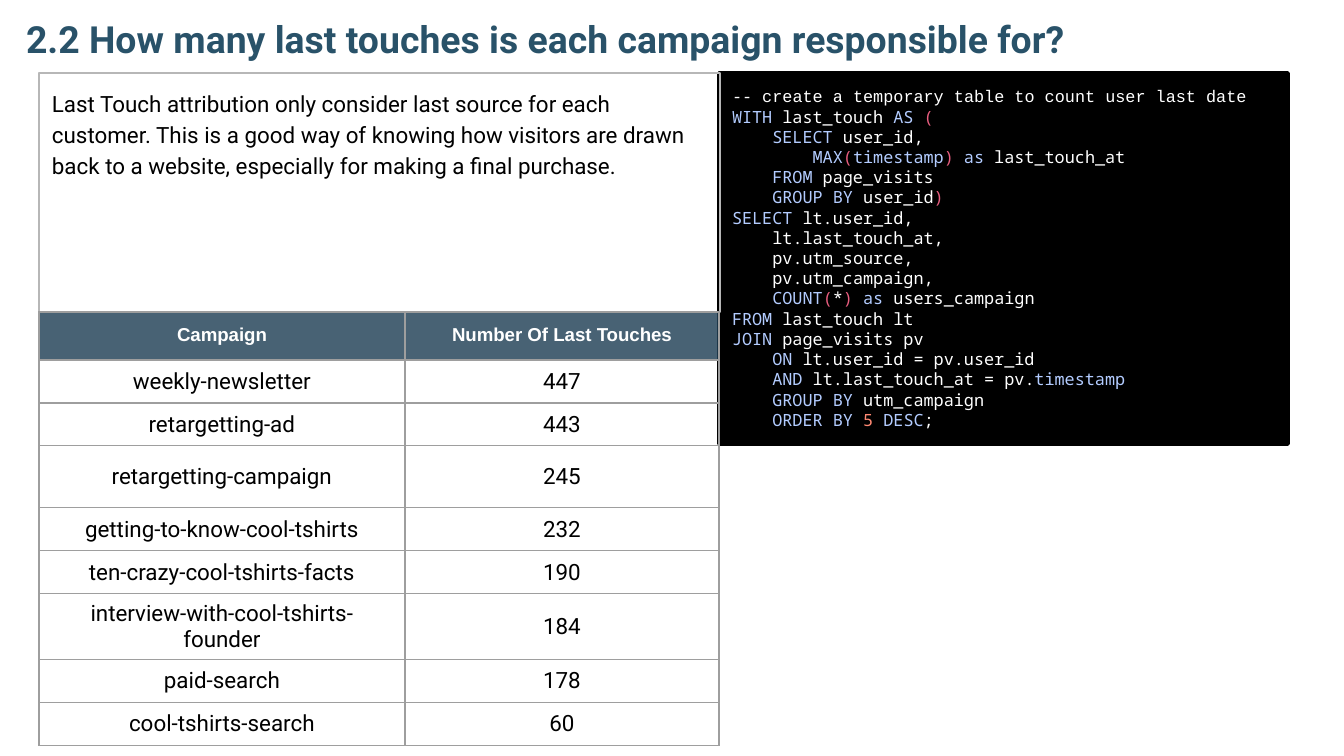
from itertools import groupby

from lxml.etree import SubElement
from pptx import Presentation
from pptx.dml.color import RGBColor
from pptx.enum.shapes import MSO_SHAPE
from pptx.enum.text import MSO_ANCHOR as Anchor, MSO_AUTO_SIZE as AutoSize, PP_ALIGN as Align
from pptx.oxml.ns import qn
from pptx.util import Emu, Pt

EMU_PER_PX = 914400 / 134.4
INSET = 13
COLORS = {
    "title": "295269", "text": "000000", "white": "FFFFFF", "code_box": "000000",
    "keyword": "B3CCFF", "bracket": "E85D7F", "number": "FF8973",
    "header": "204056", "grid": "9E9E9E", "frame": "B7B7B7",
}
KEYWORDS = set("WITH AS SELECT MAX timestamp as FROM GROUP BY COUNT JOIN ON AND ORDER DESC".split())
QUERY = """\
-- create a temporary table to count user last date
WITH last_touch AS (
    SELECT user_id,
        MAX(timestamp) as last_touch_at
    FROM page_visits
    GROUP BY user_id)
SELECT lt.user_id,
    lt.last_touch_at,
    pv.utm_source,
    pv.utm_campaign,
    COUNT(*) as users_campaign
FROM last_touch lt
JOIN page_visits pv
    ON lt.user_id = pv.user_id
    AND lt.last_touch_at = pv.timestamp
    GROUP BY utm_campaign
    ORDER BY 5 DESC;"""
EXPLANATION = (
    "Last Touch attribution only consider last source for each customer. "
    "This is a good way of knowing how visitors are drawn back to a website, "
    "especially for making a final purchase."
)
CAMPAIGNS = [
    ("Campaign", "Number Of Last Touches"),
    ("weekly-newsletter", 447),
    ("retargetting-ad", 443),
    ("retargetting-campaign", 245),
    ("getting-to-know-cool-tshirts", 232),
    ("ten-crazy-cool-tshirts-facts", 190),
    ("interview-with-cool-tshirts-founder", 184),
    ("paid-search", 178),
    ("cool-tshirts-search", 60),
]
COLUMN_WIDTHS = (366, 314)
ROW_HEIGHTS = (48, 43, 43, 62, 43, 43, 43, 43, 43)


def px(length):
    return Emu(round(length * EMU_PER_PX))


def color(name):
    return RGBColor.from_string(COLORS[name])


def add_run(paragraph, text, size, font_name, color_name, bold=False):
    run = paragraph.add_run()
    run.text = text
    run.font.size = Pt(size)
    run.font.name = font_name
    run.font.bold = bold
    run.font.color.rgb = color(color_name)


def set_insets(target):
    """Give a text frame or a table cell the same inset on all sides."""
    target.margin_left = target.margin_right = px(INSET)
    target.margin_top = target.margin_bottom = px(INSET)


def add_title(slide, text):
    title = slide.shapes.title
    title.left, title.top, title.width, title.height = map(px, (13, -50, 1253, 124))
    frame = title.text_frame
    frame.auto_size = AutoSize.NONE
    frame.vertical_anchor = Anchor.BOTTOM
    set_insets(frame)
    paragraph = frame.paragraphs[0]
    paragraph.alignment = Align.LEFT
    add_run(paragraph, text, 20, "Roboto", "title", True)


def add_box(slide, bounds, line_color, line_width, fill_color=None):
    """Add a bordered rectangle and return its text frame."""
    shape = slide.shapes.add_shape(MSO_SHAPE.RECTANGLE, *map(px, bounds))
    shape.shadow.inherit = False
    shape.line.color.rgb = color(line_color)
    shape.line.width = Pt(line_width)
    if fill_color:
        shape.fill.solid()
        shape.fill.fore_color.rgb = color(fill_color)
    else:
        shape.fill.background()
    frame = shape.text_frame
    frame.word_wrap = True
    frame.vertical_anchor = Anchor.TOP
    set_insets(frame)
    frame.paragraphs[0].alignment = Align.LEFT
    return frame


def character_class(character):
    if character.isalnum() or character == "_":
        return "word"
    return "bracket" if character in "()" else "white"


def highlight(line):
    """Split a line of SQL into (text, color name) pieces."""
    for kind, characters in groupby(line, character_class):
        token = "".join(characters)
        if kind != "word":
            yield token, kind
        elif token in KEYWORDS:
            yield token, "keyword"
        else:
            yield token, "number" if token.isdigit() else "white"


def add_code(frame, code):
    for index, line in enumerate(code.splitlines()):
        paragraph = frame.add_paragraph() if index else frame.paragraphs[0]
        paragraph.alignment = Align.LEFT
        if line.startswith("--"):
            add_run(paragraph, line, 9, "Courier New", "white")
            continue
        for color_name, pieces in groupby(highlight(line), lambda piece: piece[1]):
            text = "".join(piece[0] for piece in pieces)
            add_run(paragraph, text, 9, "Noto Sans Mono", color_name)


def set_borders(cell):
    properties = cell._tc.get_or_add_tcPr()
    for index, side in enumerate(("a:lnL", "a:lnR", "a:lnT", "a:lnB")):
        line = SubElement(properties, qn(side), w=str(Pt(0.75)))
        fill = SubElement(line, qn("a:solidFill"))
        SubElement(fill, qn("a:srgbClr"), val=COLORS["grid"])
        properties.insert(index, line)


def format_header(cell):
    set_insets(cell)
    cell.fill.solid()
    cell.fill.fore_color.rgb = color("header")
    fill_color = cell._tc.tcPr.find(qn("a:solidFill")).find(qn("a:srgbClr"))
    SubElement(fill_color, qn("a:alpha"), val="82000")


def add_campaign_table(slide, left, top):
    bounds = (left, top, sum(COLUMN_WIDTHS), sum(ROW_HEIGHTS))
    table = slide.shapes.add_table(len(CAMPAIGNS), len(COLUMN_WIDTHS), *map(px, bounds)).table
    table.first_row = table.horz_banding = False
    for column, width in zip(table.columns, COLUMN_WIDTHS):
        column.width = px(width)
    for index, (row, height, values) in enumerate(zip(table.rows, ROW_HEIGHTS, CAMPAIGNS)):
        row.height = px(height)
        for cell, value in zip(row.cells, values):
            paragraph = cell.text_frame.paragraphs[0]
            paragraph.alignment = Align.CENTER
            if index == 0:
                format_header(cell)
                add_run(paragraph, value, 10, "Arial", "white", True)
            else:
                cell.fill.background()
                cell.vertical_anchor = Anchor.MIDDLE
                add_run(paragraph, str(value), 12, "Roboto", "text")
            set_borders(cell)


def main():
    presentation = Presentation()
    presentation.slide_width, presentation.slide_height = px(1344), px(756)
    slide = presentation.slides.add_slide(presentation.slide_layouts[5])
    add_title(slide, "2.2 How many last touches is each campaign responsible for?")
    add_code(add_box(slide, (719, 73, 569, 371), "code_box", 2, "code_box"), QUERY)
    explanation = add_box(slide, (39, 73, 681, 239), "frame", 0.75).paragraphs[0]
    explanation.line_spacing = 1.15
    add_run(explanation, EXPLANATION, 12, "Roboto", "text")
    add_campaign_table(slide, 39, 312)
    presentation.save("out.pptx")


if __name__ == "__main__":
    main()
